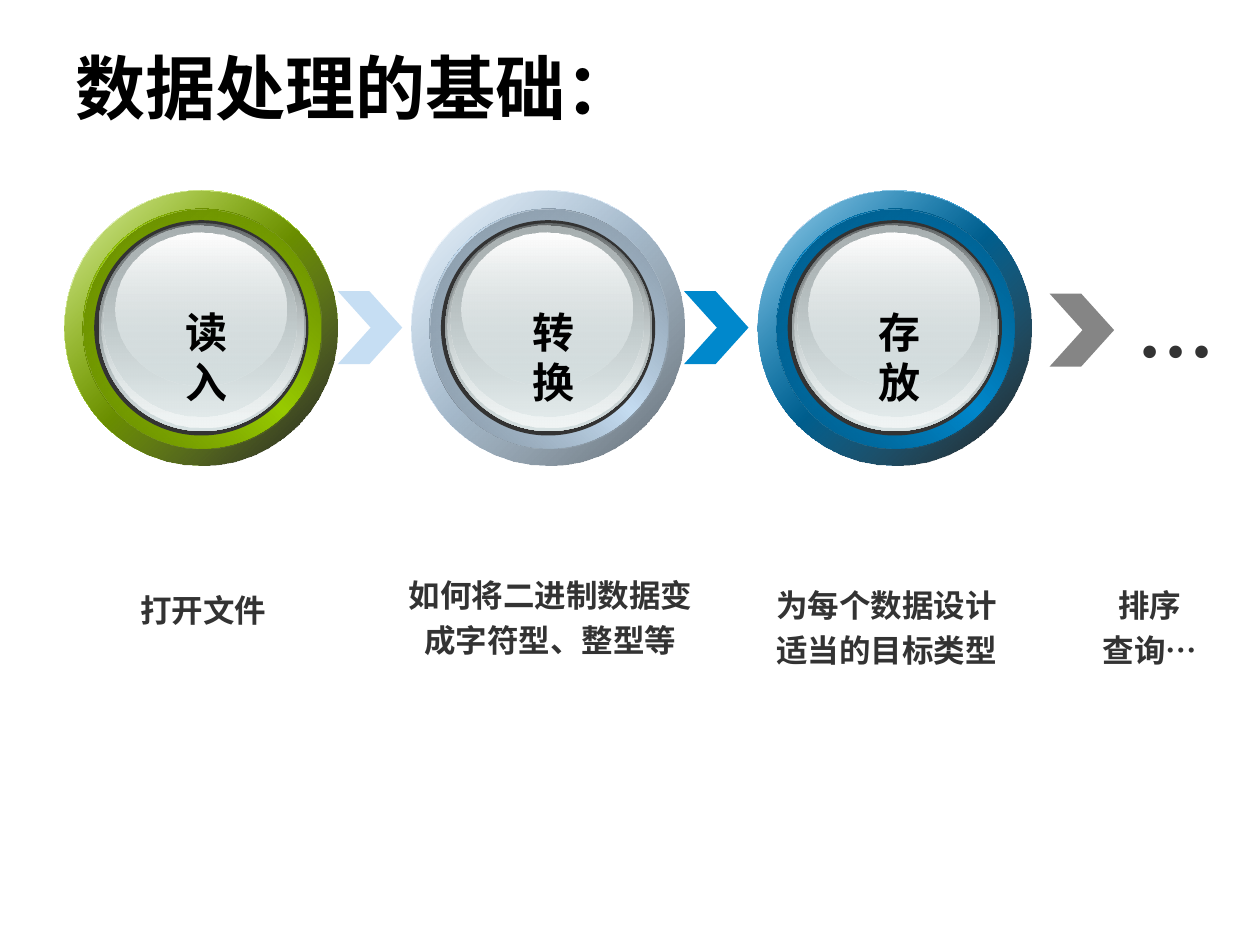
from lxml import etree
from pptx import Presentation
from pptx.dml.color import RGBColor
from pptx.enum.shapes import MSO_SHAPE
from pptx.enum.text import MSO_ANCHOR, PP_ALIGN
from pptx.oxml.ns import qn
from pptx.util import Cm, Pt

ELLIPSE, CHEVRON = MSO_SHAPE.OVAL, MSO_SHAPE.CHEVRON
ROUNDED = MSO_SHAPE.ROUNDED_RECTANGLE
MIDDLE, LEFT, CENTER = MSO_ANCHOR.MIDDLE, PP_ALIGN.LEFT, PP_ALIGN.CENTER
CJK_FONT, LATIN_FONT = "Noto Sans CJK SC", "Times New Roman"
DARK = "333333"
color = RGBColor.from_string


def write(frame, lines, size, hex_color, font_name=LATIN_FONT, align=CENTER):
    for index, line in enumerate(lines):
        paragraph = frame.paragraphs[0] if index == 0 else frame.add_paragraph()
        paragraph.alignment = align
        if len(lines) > 1:
            paragraph.line_spacing = 1.1
            paragraph.space_before = Pt(2 if index else 0)
        run = paragraph.add_run()
        run.text = line
        run.font.size = Pt(size)
        run.font.bold = True
        run.font.color.rgb = color(hex_color)
        run.font.name = font_name
        east_asian = etree.SubElement(run.font._element, qn("a:ea"))
        east_asian.set("typeface", CJK_FONT)


def add_disc(shapes, left, top, width, height, stops, angle):
    """Add an ellipse; stops are (position %, colour, opacity %)."""
    shape = shapes.add_shape(ELLIPSE, Cm(left), Cm(top), Cm(width), Cm(height))
    shape.line.fill.background()
    shape.shadow.inherit = False
    if len(stops) == 1:
        shape.fill.solid()
        shape.fill.fore_color.rgb = color(stops[0][1])
        return
    gradient = etree.Element(qn("a:gradFill"), rotWithShape="1")
    stop_list = etree.SubElement(gradient, qn("a:gsLst"))
    for position, hex_color, opacity in stops:
        stop = etree.SubElement(stop_list, qn("a:gs"), pos=str(position * 1000))
        tint = etree.SubElement(stop, qn("a:srgbClr"), val=hex_color)
        if opacity < 100:
            etree.SubElement(tint, qn("a:alpha"), val=str(opacity * 1000))
    etree.SubElement(gradient, qn("a:lin"), ang=str(angle * 60000), scaled="1")
    shape._element.spPr.find(qn("a:prstGeom")).addnext(gradient)


presentation = Presentation()
presentation.slide_width, presentation.slide_height = Cm(25.4), Cm(19.05)
slide = presentation.slides.add_slide(presentation.slide_layouts[5])
slide.background.fill.solid()
slide.background.fill.fore_color.rgb = color("FFFFFF")

# Title
title = slide.shapes.title
title.left, title.top, title.width, title.height = Cm(1.27), Cm(0.76), Cm(22.86), Cm(1.98)
title.text_frame.vertical_anchor = MIDDLE
write(title.text_frame, ["数据处理的基础："], 40, "000000", CJK_FONT, LEFT)

# Chevrons between the stages
for left, top, hex_color in [(6.81, 5.87, "C6DEF3"), (13.79, 5.87, "0088CC"),
                             (21.16, 5.92, "858585")]:
    chevron = slide.shapes.add_shape(CHEVRON, Cm(left), Cm(top), Cm(1.3), Cm(1.47))
    chevron.adjustments[0] = 0.51
    chevron.fill.solid()
    chevron.fill.fore_color.rgb = color(hex_color)
    chevron.line.fill.background()
    chevron.shadow.inherit = False

# Stage buttons: coloured rings, a dark disc and a glass face
STAGES = [  # label, base, ring edge, ring shade, rim shadow, shadow opacity
    ("读入", "99CC00", "536E00", "618200", "000000", 90),
    ("转换", "C6DEF3", "6B7884", "7E8D9A", "5C6770", 100),
    ("存放", "0088CC", "004A6E", "005682", "000000", 90),
]
GLASS = [  # horizontal offset, vertical offset, width, height, stops
    (0.69, 0.66, 4.17, 4.19, [(0, "636869", 100), (100, "D6E1E2", 100)]),
    (0.74, 0.69, 4.07, 4.09, [(0, "D6E1E2", 0), (100, "F1F5F5", 100)]),
    (0.79, 0.71, 3.89, 3.84, [(0, "AAB2B3", 100), (100, "D6E1E2", 48)]),
    (1.02, 0.84, 3.45, 3.1, [(0, "FFFFFF", 100), (100, "D6E1E2", 38)]),
]
FIRST_LEFT, STAGE_TOP, STAGE_STEP = 1.3, 3.84, 6.99

for index, (label, base, edge, shade, shadow, opacity) in enumerate(STAGES):
    stage_left = FIRST_LEFT + index * STAGE_STEP
    rings = [  # offset, width, height, stops, angle
        (0, 5.51, 5.54, [(0, "FFFFFF", 100), (50, base, 100), (100, "FFFFFF", 100)], 45),
        (0, 5.51, 5.54, [(0, base, 32), (100, shadow, opacity)], 45),
        (0.37, 4.8, 4.83, [(0, edge, 100), (50, base, 100), (100, edge, 100)], 315),
        (0.38, 4.8, 4.83, [(0, shade, 100), (100, base, 0)], 45),
        (0.6, 4.32, 4.34, [(0, DARK, 100)], 0),
    ]
    for offset, width, height, stops, angle in rings:
        add_disc(slide.shapes, stage_left + offset, STAGE_TOP + offset,
                 width, height, stops, angle)
    face = slide.shapes.add_group_shape()
    for across, down, width, height, stops in GLASS:
        add_disc(face.shapes, stage_left + across, STAGE_TOP + down,
                 width, height, stops, 90)
    label_box = slide.shapes.add_textbox(Cm(stage_left + 1.77), Cm(6.05), Cm(2.18), Cm(1.27))
    label_box.text_frame.word_wrap = False
    write(label_box.text_frame, [label], 24, "000000")

# Captions and the closing ellipsis
CAPTIONS = [  # left, top, width, height, size, lines
    (1.47, 11.63, 5.26, 1.32, 18, ["打开文件"]),
    (7.82, 11.43, 6.55, 1.96, 18, ["如何将二进制数据变", "成字符型、整型等"]),
    (15.24, 11.63, 5.26, 1.98, 18, ["为每个数据设计", "适当的目标类型"]),
    (21.59, 11.63, 3.18, 1.98, 18, ["排序", "查询…"]),
    (22.66, 5.92, 2.08, 1.32, 44, ["…"]),
]
for left, top, width, height, size, lines in CAPTIONS:
    caption = slide.shapes.add_shape(ROUNDED, Cm(left), Cm(top), Cm(width), Cm(height))
    caption.adjustments[0] = 0.5
    caption.fill.solid()
    caption.fill.fore_color.rgb = color("FFFFFF")
    caption.line.color.rgb = color("FFFFFF")
    caption.line.width = Pt(2.25)
    caption.shadow.inherit = False
    caption.text_frame.word_wrap = False
    caption.text_frame.vertical_anchor = MIDDLE
    write(caption.text_frame, lines, size, DARK)

presentation.save("out.pptx")
